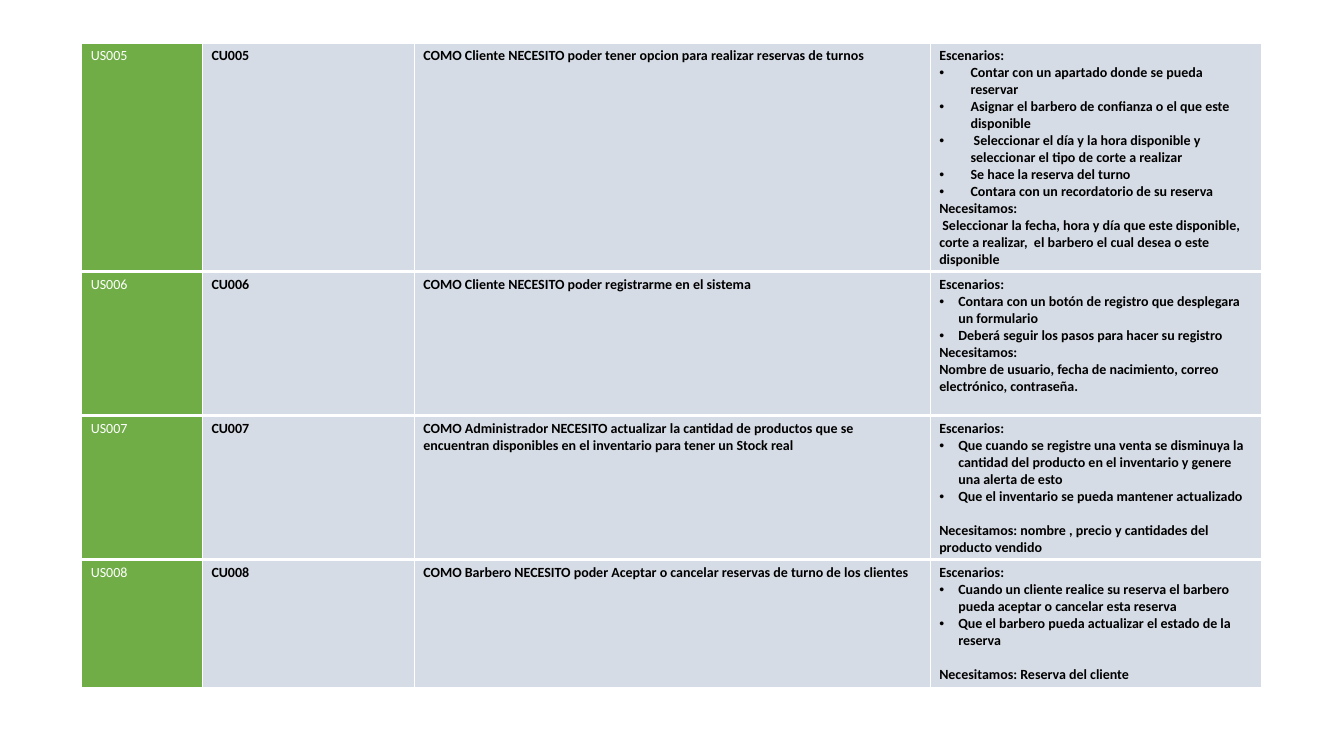
from lxml.etree import SubElement
from pptx import Presentation
from pptx.dml.color import RGBColor
from pptx.oxml.ns import qn
from pptx.util import Cm, Pt

COLORS = {"green": "70AD47", "grey": "D6DCE5", "white": "FFFFFF", "black": "000000"}
FONT = {"name": "Calibri", "size": Pt(10)}
MARGINS = {"margin_left": Cm(0.23), "margin_right": Cm(0.23),
           "margin_top": Cm(0.1), "margin_bottom": Cm(0.1)}
PLAIN_STYLE = {"first_row": False, "horz_banding": False}
BORDERS = {"a:lnL": 1, "a:lnR": 1, "a:lnT": 1, "a:lnB": 3}
COLUMN_WIDTHS = [3.04, 5.34, 13, 8.36]
LEFT, TOP = 2.06, 1.09
BLANK_LINE = Pt(12.2)

# Each story: number, height, need, bullet indent, scenarios, gap, closing lines
STORIES = [
    ("005", 5.77, "COMO Cliente NECESITO poder tener opcion para realizar reservas de turnos",
     0.79,
     ["Contar con un apartado donde se pueda reservar",
      "Asignar el barbero de confianza o el que este disponible",
      " Seleccionar el día y la hora disponible y seleccionar el tipo de corte a realizar",
      "Se hace la reserva del turno",
      "Contara con un recordatorio de su reserva"],
     0,
     ["Necesitamos:",
      " Seleccionar la fecha, hora y día que este disponible, corte a realizar,  "
      "el barbero el cual desea o este disponible"]),
    ("006", 3.63, "COMO Cliente NECESITO poder registrarme en el sistema",
     0.48,
     ["Contara con un botón de registro que desplegara un formulario",
      "Deberá seguir los pasos para hacer su registro"],
     0,
     ["Necesitamos:",
      "Nombre de usuario, fecha de nacimiento, correo electrónico, contraseña."]),
    ("007", 3.63,
     "COMO Administrador NECESITO actualizar la cantidad de productos que se "
     "encuentran disponibles en el inventario para tener un Stock real",
     0.48,
     ["Que cuando se registre una venta se disminuya la cantidad del producto "
      "en el inventario y genere una alerta de esto",
      "Que el inventario se pueda mantener actualizado"],
     BLANK_LINE,
     ["Necesitamos: nombre , precio y cantidades del producto vendido"]),
    ("008", 3.23,
     "COMO Barbero NECESITO poder Aceptar o cancelar reservas de turno de los clientes",
     0.48,
     ["Cuando un cliente realice su reserva el barbero pueda aceptar o cancelar esta reserva",
      "Que el barbero pueda actualizar el estado de la reserva"],
     BLANK_LINE,
     ["Necesitamos: Reserva del cliente"]),
]


def apply_format(target, values):
    for name, value in values.items():
        setattr(target, name, value)


class StorySlide:
    def __init__(self, presentation):
        self.slide = presentation.slides.add_slide(presentation.slide_layouts[6])

    def table(self, top, height):
        """Add a one-row table and return its cells."""
        shape = self.slide.shapes.add_table(
            1, len(COLUMN_WIDTHS), Cm(LEFT), Cm(top), Cm(sum(COLUMN_WIDTHS)), Cm(height))
        apply_format(shape.table, PLAIN_STYLE)
        for column, width in zip(shape.table.columns, COLUMN_WIDTHS):
            column.width = Cm(width)
        return shape.table.rows[0].cells

    def cell(self, cell, fill):
        apply_format(cell, MARGINS)
        properties = cell._tc.get_or_add_tcPr()
        for tag, points in BORDERS.items():
            line = SubElement(properties, qn(tag), w=str(Pt(points)))
            SubElement(SubElement(line, qn("a:solidFill")), qn("a:srgbClr"),
                       val=COLORS["white"])
        cell.fill.solid()
        cell.fill.fore_color.rgb = RGBColor.from_string(COLORS[fill])

    def text(self, cell, text, color="black", bold=True, indent=0, gap=0):
        """Write one paragraph; an indent makes it a bullet."""
        frame = cell.text_frame
        paragraph = frame.add_paragraph() if frame.text else frame.paragraphs[0]
        run = paragraph.add_run()
        run.text = text
        apply_format(run.font, {**FONT, "bold": bold})
        run.font.color.rgb = RGBColor.from_string(COLORS[color])
        if gap:
            paragraph.space_before = gap
        if indent:
            properties = paragraph._p.get_or_add_pPr()
            properties.set("marL", str(Cm(indent)))
            properties.set("indent", str(-Cm(indent)))
            SubElement(properties, qn("a:buFont"), typeface="Arial")
            SubElement(properties, qn("a:buChar"), char="•")

    def story(self, top, number, height, need, indent, scenarios, gap, closing):
        cells = list(self.table(top, height))
        for cell, fill in zip(cells, ["green", "grey", "grey", "grey"]):
            self.cell(cell, fill)
        story_cell, case_cell, need_cell, detail_cell = cells
        self.text(story_cell, "US" + number, color="white", bold=False)
        self.text(case_cell, "CU" + number)
        self.text(need_cell, need)
        # Scenarios and what they require
        self.text(detail_cell, "Escenarios:")
        for scenario in scenarios:
            self.text(detail_cell, scenario, indent=indent)
        for position, line in enumerate(closing):
            self.text(detail_cell, line, gap=0 if position else gap)


def main():
    presentation = Presentation()
    apply_format(presentation, {"slide_width": Cm(33.87), "slide_height": Cm(19.05)})
    story_slide = StorySlide(presentation)
    # Stack the story tables without gaps
    top = TOP
    for story in STORIES:
        story_slide.story(top, *story)
        top += story[1]
    presentation.save("out.pptx")


if __name__ == "__main__":
    main()
